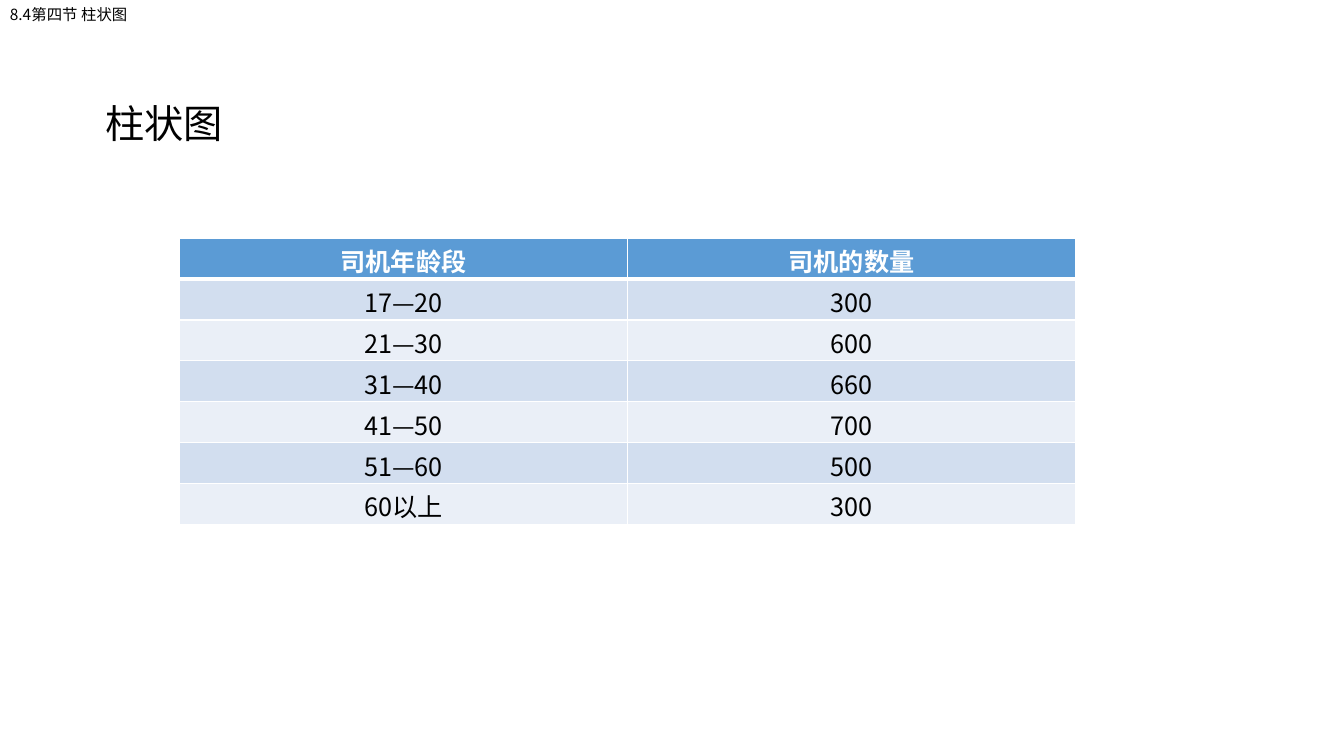
from lxml import etree
from pptx import Presentation
from pptx.dml.color import RGBColor
from pptx.enum.text import MSO_ANCHOR, MSO_AUTO_SIZE, PP_ALIGN
from pptx.oxml.ns import qn
from pptx.util import Pt

LEFT, CENTER = PP_ALIGN.LEFT, PP_ALIGN.CENTER
TOP = MSO_ANCHOR.TOP
NO_FIT = MSO_AUTO_SIZE.NONE
TITLE_ONLY = 5

BLACK = RGBColor(0x00, 0x00, 0x00)
WHITE = RGBColor(0xFF, 0xFF, 0xFF)
HEADER_BLUE = RGBColor(0x5B, 0x9B, 0xD5)
BANDS = (RGBColor(0xD2, 0xDE, 0xEF), RGBColor(0xEA, 0xEF, 0xF7))
FONT = "Noto Sans CJK SC"

DRIVERS = [
    ("司机年龄段", "司机的数量"),
    ("17—20", "300"),
    ("21—30", "600"),
    ("31—40", "660"),
    ("41—50", "700"),
    ("51—60", "500"),
    ("60以上", "300"),
]


def write(frame, text, size=18, color=BLACK, bold=False, align=LEFT, indent=0):
    para = frame.paragraphs[0]
    para.alignment = align
    if indent:
        properties = para._p.get_or_add_pPr()
        properties.set("marL", str(Pt(indent)))
        properties.set("indent", "0")
    span = para.add_run()
    span.text = text
    span.font.size = Pt(size)
    span.font.bold = bold
    span.font.color.rgb = color
    span.font.name = FONT
    east_asian = etree.SubElement(span.font._element, qn("a:ea"))
    east_asian.set("typeface", FONT)


def set_borders(cell, widths, color):
    """Draw the cell's borders; widths holds points by side: L, R, T, B."""
    properties = cell._tc.get_or_add_tcPr()
    for position, (side, width) in enumerate(widths.items()):
        line = etree.Element(qn(f"a:ln{side}"), w=str(Pt(width)))
        fill = etree.SubElement(line, qn("a:solidFill"))
        etree.SubElement(fill, qn("a:srgbClr"), val=str(color))
        properties.insert(position, line)


class Page:
    def __init__(self, deck):
        self.slide = deck.slides.add_slide(deck.slide_layouts[TITLE_ONLY])

    def title(self, text, left, top, width, height):
        box = self.slide.shapes.title
        box.left, box.top, box.width, box.height = map(Pt, (left, top, width, height))
        frame = box.text_frame
        frame.auto_size = NO_FIT
        frame.vertical_anchor = TOP
        frame.margin_left = frame.margin_right = frame.margin_bottom = 0
        frame.margin_top = Pt(17)
        write(frame, text, size=28, indent=24)

    def label(self, text, left, top, width, height):
        box = self.slide.shapes.add_textbox(*map(Pt, (left, top, width, height)))
        box.text_frame.word_wrap = True
        write(box.text_frame, text, size=11)

    def table(self, rows, left, top, width, row_height):
        frame = self.slide.shapes.add_table(
            len(rows), len(rows[0]),
            Pt(left), Pt(top), Pt(width), Pt(row_height * len(rows)))
        for index, values in enumerate(rows):
            frame.table.rows[index].height = Pt(row_height)
            header = index == 0
            for column, value in enumerate(values):
                cell = frame.table.cell(index, column)
                cell.margin_top, cell.margin_bottom = Pt(3), 0
                cell.fill.solid()
                cell.fill.fore_color.rgb = HEADER_BLUE if header else BANDS[(index - 1) % 2]
                widths = {"L": 1, "R": 1, "T": 3 if index == 1 else 1, "B": 3 if header else 1}
                set_borders(cell, widths, WHITE)
                write(cell.text_frame, value, color=WHITE if header else BLACK,
                      bold=header, align=CENTER)


def main():
    deck = Presentation()
    deck.slide_width, deck.slide_height = Pt(960), Pt(540)
    page = Page(deck)
    page.title("柱状图", 51, 54, 191.5, 51)
    page.table(DRIVERS, 128.2, 170.2, 640, 29.2)
    page.label("8.4第四节 柱状图", 0, 0, 100, 21)
    deck.save("out.pptx")


if __name__ == "__main__":
    main()
